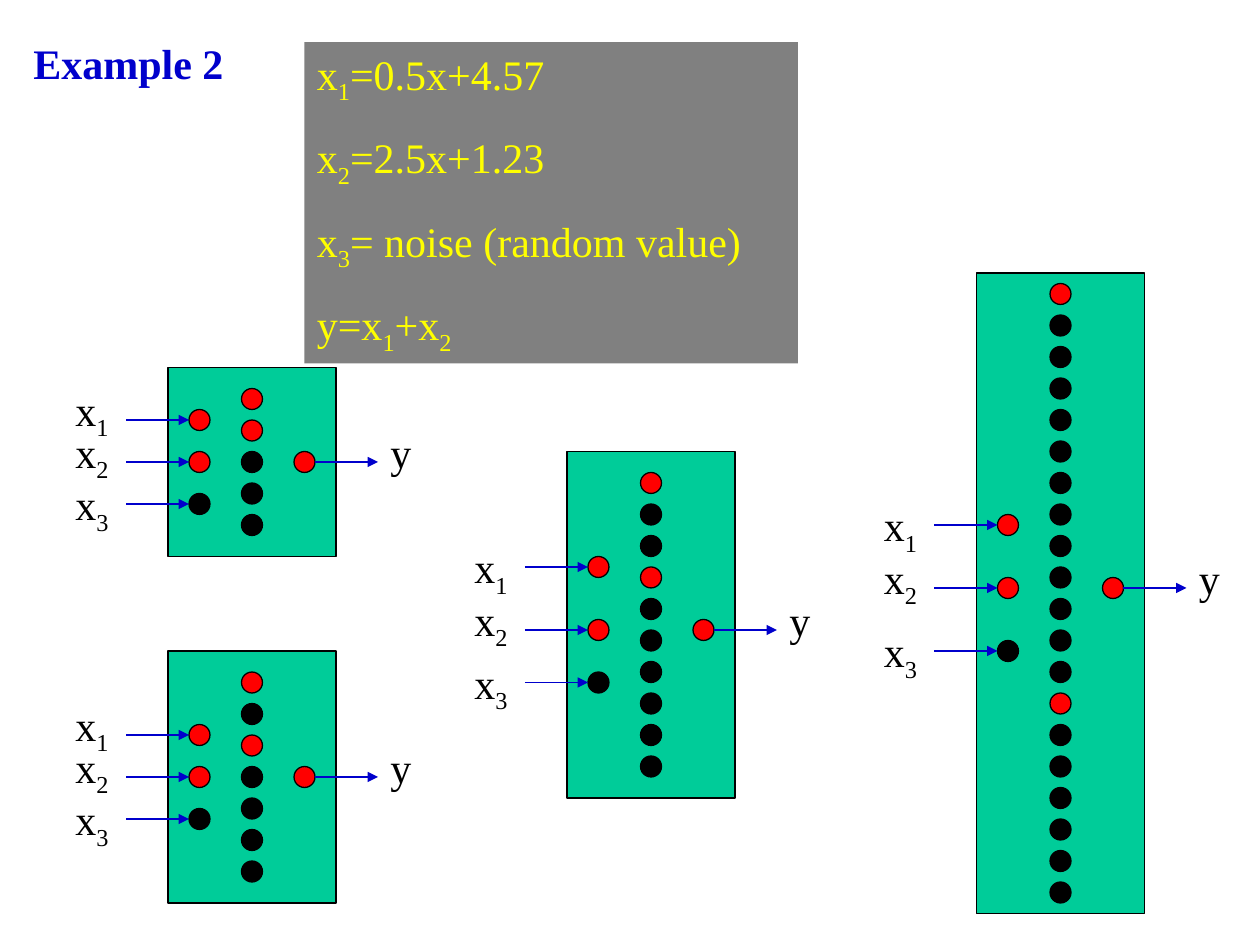
from dataclasses import dataclass

from lxml.etree import SubElement
from pptx import Presentation
from pptx.dml.color import RGBColor
from pptx.enum.shapes import MSO_CONNECTOR, MSO_SHAPE
from pptx.enum.text import MSO_ANCHOR, MSO_AUTO_SIZE, PP_ALIGN
from pptx.oxml.ns import qn
from pptx.util import Pt


@dataclass(frozen=True)
class Theme:
    font: str = "Times New Roman"
    size: float = 24
    gap: float = 15
    line: float = 0.75
    blue: str = "0000CC"
    yellow: str = "FFFF00"
    gray: str = "808080"
    green: str = "00CC99"
    red: str = "FF0000"
    black: str = "000000"


@dataclass(frozen=True)
class Net:
    left: float
    top: float
    height: float
    first: float   # top of the first hidden node
    count: int     # hidden nodes
    active: tuple  # indices of the red hidden nodes
    inputs: tuple  # tops of the three input nodes
    lift: float    # how far the x1 label sits above its node


THEME = Theme()
NODE = 12
STEP = 18
WIDTH = 96
REACH = 36  # length of an arrow
NETS = (
    Net(96, 210, 108, 222, 5, (0, 1), (234, 258, 282), 18),
    Net(96, 372, 144, 384, 7, (0, 2), (414, 438, 462), 18),
    Net(324, 258, 198, 270, 10, (0, 3), (318, 354, 384), 12),
    Net(558, 156, 366, 162, 20, (0, 13), (294, 330, 366), 12),
)


def color(code):
    return RGBColor.from_string(code)


def add_runs(para, text):
    """Write text, lowering the one character after each underscore."""
    head, *tails = text.split("_")
    para.add_run().text = head
    for tail in tails:
        low = para.add_run()
        low.text = tail[0]
        low._r.get_or_add_rPr().set("baseline", "-25000")
        if tail[1:]:
            para.add_run().text = tail[1:]


def write(shape, lines, ink, bold=False):
    frame = shape.text_frame
    frame.word_wrap = True
    frame.auto_size = MSO_AUTO_SIZE.SHAPE_TO_FIT_TEXT
    frame.vertical_anchor = MSO_ANCHOR.TOP
    for i, text in enumerate(lines):
        para = frame.add_paragraph() if i else frame.paragraphs[0]
        para.alignment = PP_ALIGN.LEFT
        if i:
            para.space_before = Pt(THEME.gap)
        add_runs(para, text)
        font = para.font
        font.name = THEME.font
        font.size = Pt(THEME.size)
        font.bold = bold
        font.color.rgb = color(ink)


def add_label(shapes, text, x, y, w, h, ink=THEME.black, bold=False):
    box = shapes.add_textbox(Pt(x), Pt(y), Pt(w), Pt(h))
    write(box, [text], ink, bold)


def add_block(shapes, kind, x, y, w, h, fill, edge=None):
    block = shapes.add_shape(kind, Pt(x), Pt(y), Pt(w), Pt(h))
    block.shadow.inherit = False
    block.fill.solid()
    block.fill.fore_color.rgb = color(fill)
    if edge:
        block.line.color.rgb = color(edge)
        block.line.width = Pt(THEME.line)
    else:
        block.line.fill.background()
    return block


def add_node(shapes, x, y, active):
    fill = THEME.red if active else THEME.black
    add_block(shapes, MSO_SHAPE.OVAL, x, y, NODE, NODE, fill, THEME.black)


def add_arrow(shapes, x, y):
    """Draw an arrow that runs right from x."""
    arrow = shapes.add_connector(
        MSO_CONNECTOR.STRAIGHT, Pt(x), Pt(y), Pt(x + REACH), Pt(y))
    arrow.line.color.rgb = color(THEME.blue)
    arrow.line.width = Pt(THEME.line)
    SubElement(arrow.line._get_or_add_ln(), qn("a:tailEnd"), type="triangle")
    SubElement(arrow._element.spPr, qn("a:effectLst"))


def add_net(slide, net):
    shapes = slide.shapes.add_group_shape().shapes
    left = net.left
    add_block(shapes, MSO_SHAPE.RECTANGLE, left, net.top, WIDTH, net.height,
              THEME.green, THEME.black)
    for i in range(net.count):
        add_node(shapes, left + 42, net.first + i * STEP, i in net.active)
    lifts = (net.lift, 18, 12)
    for i, (y, lift) in enumerate(zip(net.inputs, lifts), 1):
        add_node(shapes, left + 12, y, i < 3)
        add_arrow(shapes, left - 24, y + NODE / 2)
        add_label(shapes, f"x_{i}", left - 60, y - lift, 36 if i == 1 else 42, 40)
    mid = net.inputs[1]
    add_node(shapes, left + 72, mid, True)
    add_arrow(shapes, left + 84, mid + NODE / 2)
    add_label(shapes, "y", left + 120, mid - 18, 30, 36)


def main():
    deck = Presentation()
    deck.slide_width, deck.slide_height = Pt(720), Pt(540)
    slide = deck.slides.add_slide(deck.slide_layouts[6])
    add_label(slide.shapes, "Example 2", 12, 18, 132, 36, THEME.blue, True)
    panel = add_block(slide.shapes, MSO_SHAPE.RECTANGLE, 174, 24, 282, 183.6,
                      THEME.gray)
    rules = ("x_1=0.5x+4.57", "x_2=2.5x+1.23",
             "x_3= noise (random value)", "y=x_1+x_2")
    write(panel, rules, THEME.yellow)
    for net in NETS:
        add_net(slide, net)
    deck.save("out.pptx")


if __name__ == "__main__":
    main()
